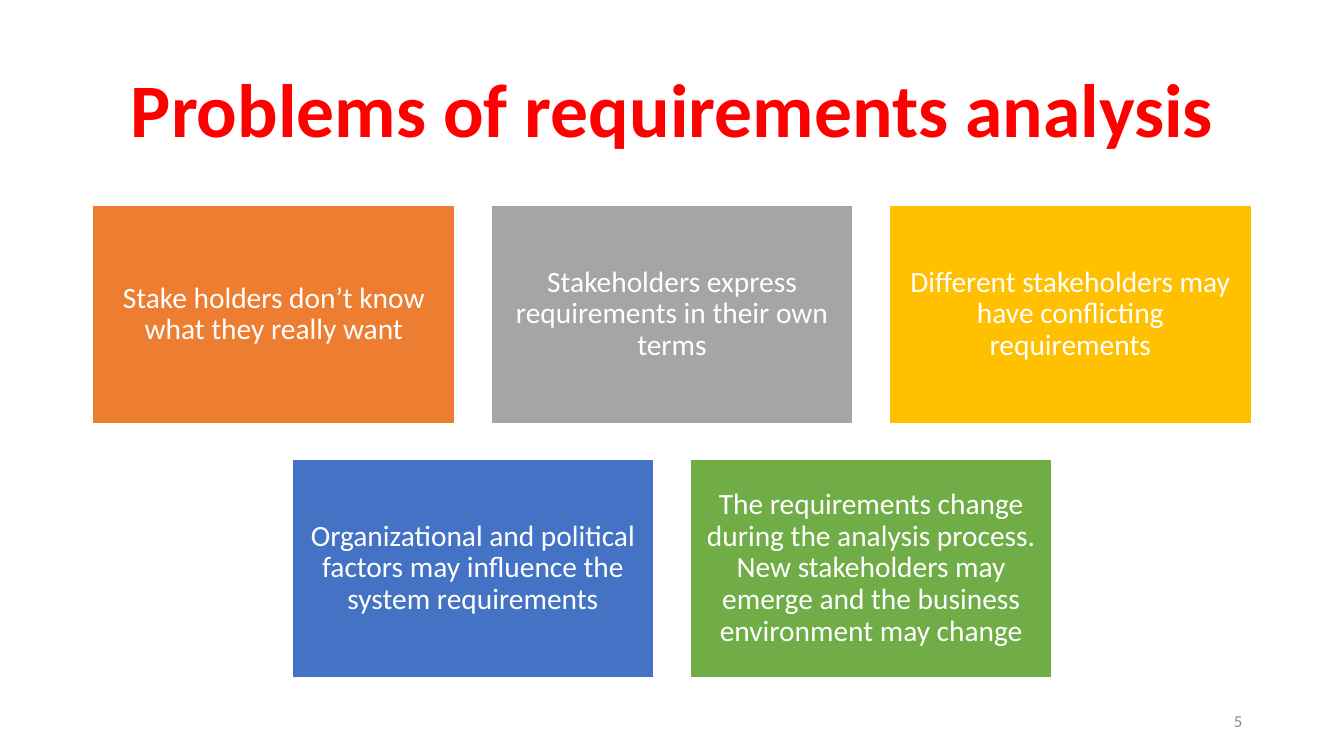
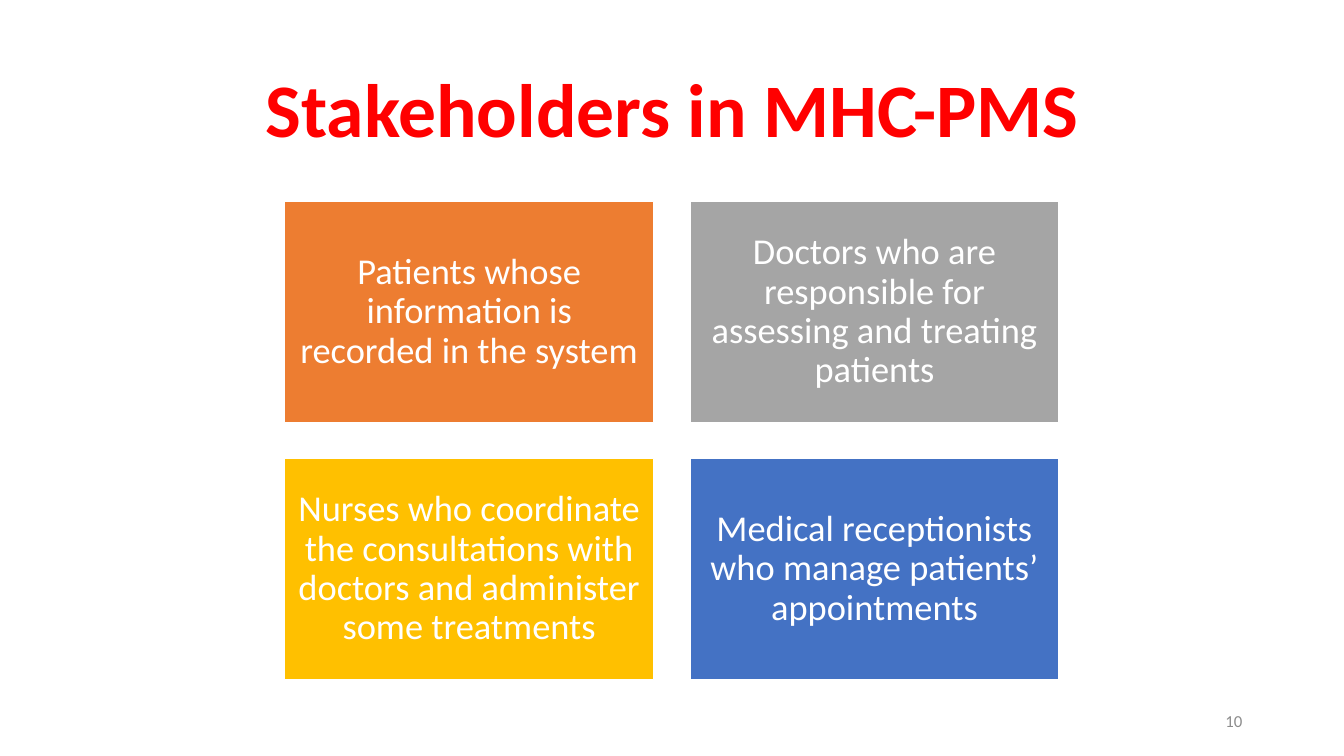
import pptx
import pptx.dml.color
import pptx.enum.shapes
import pptx.enum.text
import pptx.util

RGBColor = pptx.dml.color.RGBColor
Inches = pptx.util.Inches
Pt = pptx.util.Pt
ALIGN = pptx.enum.text.PP_ALIGN

WHITE = RGBColor(0xFF, 0xFF, 0xFF)
RED = RGBColor(0xFF, 0x00, 0x00)
FOOTER_GRAY = RGBColor(0x8C, 0x8C, 0x8C)
ORANGE = RGBColor(0xED, 0x7D, 0x31)
GRAY = RGBColor(0xA5, 0xA5, 0xA5)
YELLOW = RGBColor(0xFF, 0xC0, 0x00)
BLUE = RGBColor(0x44, 0x72, 0xC4)
GREEN = RGBColor(0x70, 0xAD, 0x47)

FONT = "Calibri"
SLIDE_WIDTH = 13.33
SLIDE_HEIGHT = 7.5
CARD_GAP = 0.36
TITLE_ONLY = 5

PROBLEMS = [
    ("Stake holders don’t know what they really want", ORANGE),
    ("Stakeholders express requirements in their own terms", GRAY),
    ("Different stakeholders may have conflicting requirements", YELLOW),
    ("Organizational and political factors may influence the system requirements", BLUE),
    ("The requirements change during the analysis process. New stakeholders may "
     "emerge and the business environment may change", GREEN),
]
STAKEHOLDERS = [
    ("Patients whose information is recorded in the system", ORANGE),
    ("Doctors who are responsible for assessing and treating patients", GRAY),
    ("Nurses who coordinate the consultations with doctors and administer some treatments",
     YELLOW),
    ("Medical receptionists who manage patients’ appointments", BLUE),
]


def set_text(shape, text, size, color, bold=False, align=ALIGN.CENTER,
             line_spacing=0.9, margin=None):
    """Fill a shape with one formatted, vertically centred paragraph."""
    frame = shape.text_frame
    frame.word_wrap = True
    frame.auto_size = pptx.enum.text.MSO_AUTO_SIZE.NONE
    frame.vertical_anchor = pptx.enum.text.MSO_ANCHOR.MIDDLE
    if margin is not None:
        frame.margin_left = frame.margin_right = Inches(margin)
        frame.margin_top = frame.margin_bottom = Inches(margin)
    paragraph = frame.paragraphs[0]
    paragraph.alignment = align
    paragraph.line_spacing = line_spacing
    run = paragraph.add_run()
    run.text = text
    run.font.name = FONT
    run.font.size = Pt(size)
    run.font.bold = bold
    run.font.color.rgb = color


def add_base_slide(presentation, title, number):
    """Add a slide with the shared title and page number."""
    slide = presentation.slides.add_slide(presentation.slide_layouts[TITLE_ONLY])
    title_shape = slide.shapes.title
    title_shape.left, title_shape.top = Inches(0.92), Inches(0.4)
    title_shape.width, title_shape.height = Inches(11.5), Inches(1.45)
    set_text(title_shape, title, size=54, color=RED, bold=True)

    number_box = slide.shapes.add_textbox(
        Inches(9.42), Inches(6.95), Inches(3), Inches(0.4))
    set_text(number_box, str(number), size=12, color=FOOTER_GRAY,
             align=ALIGN.RIGHT, line_spacing=1.0)
    return slide


def add_card(slide, text, fill, left, top, width, height, size, margin):
    card = slide.shapes.add_shape(
        pptx.enum.shapes.MSO_SHAPE.RECTANGLE,
        Inches(left), Inches(top), Inches(width), Inches(height))
    card.shadow.inherit = False
    card.fill.solid()
    card.fill.fore_color.rgb = fill
    card.line.color.rgb = WHITE
    card.line.width = Pt(1)
    set_text(card, text, size=size, color=WHITE, margin=margin)


def add_card_grid(slide, cards, columns, top, width, height, size, margin):
    """Lay cards out in rows, each row centred on the slide."""
    for start in range(0, len(cards), columns):
        row = cards[start:start + columns]
        row_width = len(row) * (width + CARD_GAP) - CARD_GAP
        row_left = (SLIDE_WIDTH - row_width) / 2
        row_top = top + start // columns * (height + CARD_GAP)
        for column, (text, fill) in enumerate(row):
            add_card(slide, text, fill, row_left + column * (width + CARD_GAP),
                     row_top, width, height, size, margin)


def main():
    presentation = pptx.Presentation()
    presentation.slide_width = Inches(SLIDE_WIDTH)
    presentation.slide_height = Inches(SLIDE_HEIGHT)

    # Problems: three cards above two
    slide = add_base_slide(presentation, "Problems of requirements analysis", 5)
    add_card_grid(slide, PROBLEMS, columns=3, top=2.04, width=3.59, height=2.16,
                  size=21, margin=0.09)

    # Stakeholders: two by two
    slide = add_base_slide(presentation, "Stakeholders in MHC-PMS", 10)
    add_card_grid(slide, STAKEHOLDERS, columns=2, top=2, width=3.66, height=2.19,
                  size=26, margin=0.11)

    presentation.save("out.pptx")


if __name__ == "__main__":
    main()
